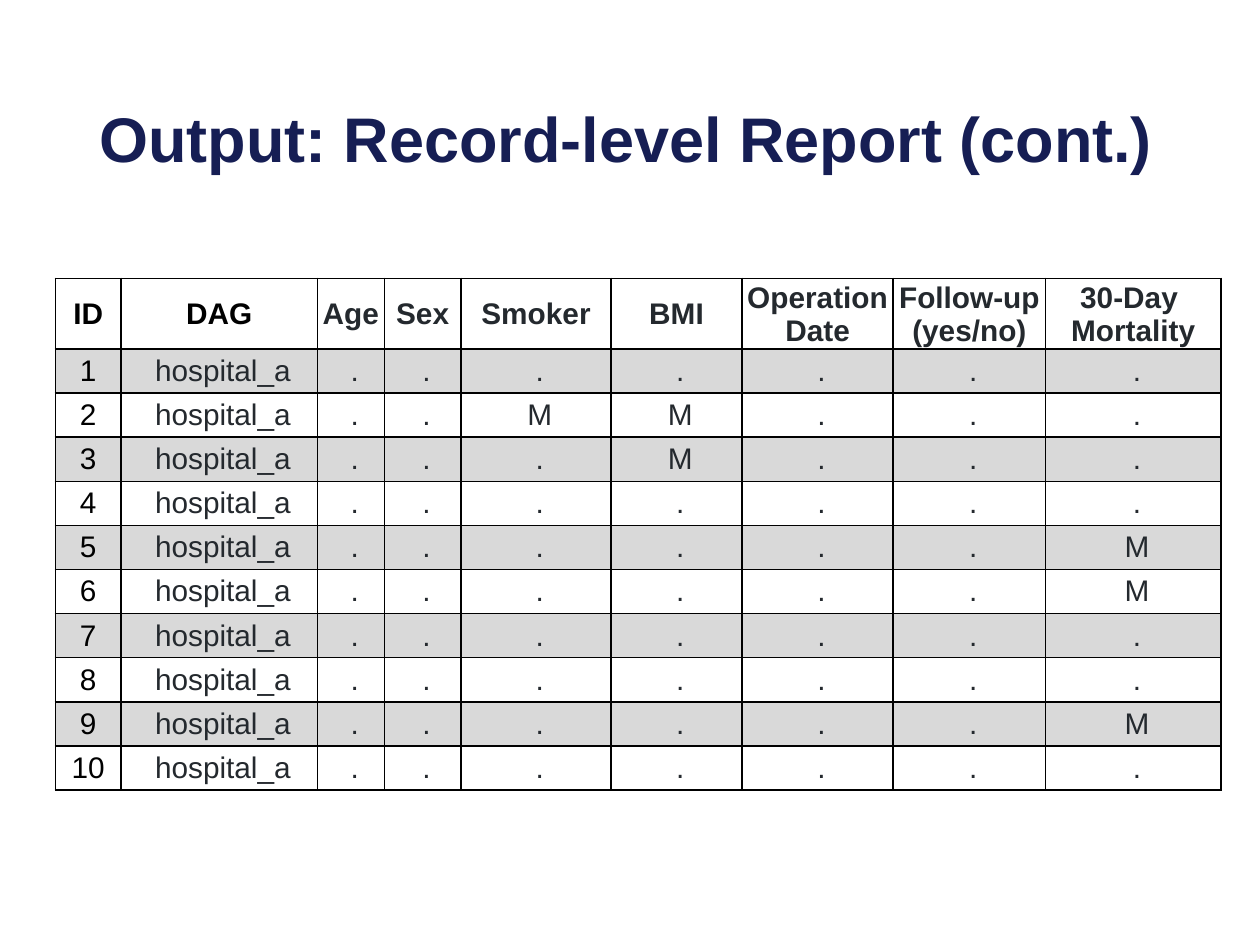
from dataclasses import dataclass

from lxml import etree
from pptx import Presentation
from pptx.dml.color import RGBColor as RGB
from pptx.enum.text import MSO_ANCHOR as Anchor, PP_ALIGN as Align
from pptx.oxml.ns import qn
from pptx.util import Inches, Pt


@dataclass(frozen=True)
class Theme:
    """Colours, font and type sizes of the slide."""
    font: str = "Arial"
    title: str = "161E54"
    ink: str = "24292E"
    black: str = "000000"
    white: str = "FFFFFF"
    band: str = "D9D9D9"
    title_size: int = 36
    table_size: int = 17
    border: int = 1


THEME = Theme()
HEADERS = ["ID", "DAG", "Age", "Sex", "Smoker", "BMI",
           "Operation\nDate", "Follow-up\n(yes/no)", "30-Day \nMortality"]
WIDTHS = [0.52, 1.56, 0.53, 0.61, 1.19, 1.04, 1.2, 1.21, 1.39]
HEADER_HEIGHT, ROW_HEIGHT = 0.56, 0.35
RECORD_COUNT = 10
MISSING = {2: {"Smoker", "BMI"}, 3: {"BMI"}, 5: {HEADERS[-1]},
           6: {HEADERS[-1]}, 9: {HEADERS[-1]}}
ID_INSETS = (0.08, 0.04, 0.08, 0.04)
HEADER_INSETS = (0.01, 0.01, 0.01, 0)
VALUE_INSETS = (0.07, 0.04, 0.01, 0.04)


def write_text(tf, text, size, color, bold=False, align=Align.CENTER, spacing=None):
    """Write one formatted paragraph for each line of text."""
    for i, line in enumerate(text.split("\n")):
        p = tf.add_paragraph() if i else tf.paragraphs[0]
        p.alignment = align
        if spacing:
            p.line_spacing = spacing
        r = p.add_run()
        r.text = line
        r.font.name, r.font.size, r.font.bold = THEME.font, Pt(size), bold
        r.font.color.rgb = RGB.from_string(color)


def add_borders(cell):
    """Draw a thin solid line on all four sides of a cell."""
    props = cell._tc.get_or_add_tcPr()
    for side in ("a:lnL", "a:lnR", "a:lnT", "a:lnB"):
        line = etree.SubElement(props, qn(side), w=str(Pt(THEME.border)))
        fill = etree.SubElement(line, qn("a:solidFill"))
        etree.SubElement(fill, qn("a:srgbClr"), val=THEME.black)


def style_cell(cell, text, fill, insets, color, bold):
    """Fill one table cell and set its text, margins and borders."""
    add_borders(cell)
    cell.fill.solid()
    cell.fill.fore_color.rgb = RGB.from_string(fill)
    cell.vertical_anchor = Anchor.MIDDLE
    (cell.margin_left, cell.margin_top,
     cell.margin_right, cell.margin_bottom) = map(Inches, insets)
    write_text(cell.text_frame, text, THEME.table_size, color, bold=bold)


def record_row(record):
    """Return the cell texts of one record."""
    missing = MISSING.get(record, set())
    flags = ["M" if name in missing else "." for name in HEADERS[2:]]
    return [str(record), "hospital_a", *flags]


def add_title(slide, left, top, width, height):
    """Place the slide title in the given box."""
    s = slide.shapes.add_textbox(*map(Inches, (left, top, width, height)))
    tf = s.text_frame
    tf.word_wrap = True
    tf.vertical_anchor = Anchor.MIDDLE
    write_text(tf, "Output: Record-level Report (cont.)", THEME.title_size,
               THEME.title, bold=True, align=Align.LEFT, spacing=0.9)


def add_report(slide, left, top, width, height):
    """Place the banded record table in the given box."""
    rows = [HEADERS] + [record_row(n) for n in range(1, RECORD_COUNT + 1)]
    box = map(Inches, (left, top, width, height))
    table = slide.shapes.add_table(len(rows), len(HEADERS), *box).table
    for column, size in zip(table.columns, WIDTHS):
        column.width = Inches(size)
    for i, texts in enumerate(rows):
        header = i == 0
        table.rows[i].height = Inches(HEADER_HEIGHT if header else ROW_HEIGHT)
        for j, text in enumerate(texts):
            black = j == 0 or (header and j == 1)
            insets = ID_INSETS if black else HEADER_INSETS if header else VALUE_INSETS
            style_cell(table.cell(i, j), text,
                       fill=THEME.band if i % 2 else THEME.white, insets=insets,
                       color=THEME.black if black else THEME.ink, bold=header)


def main():
    """Build and save the slide."""
    prs = Presentation()
    prs.slide_width, prs.slide_height = Inches(10), Inches(7.5)
    slide = prs.slides.add_slide(prs.slide_layouts[6])
    add_report(slide, 0.44, 2.21, sum(WIDTHS), HEADER_HEIGHT + RECORD_COUNT * ROW_HEIGHT)
    add_title(slide, 0.69, 0.4, 8.62, 1.45)
    prs.save("out.pptx")


if __name__ == "__main__":
    main()
